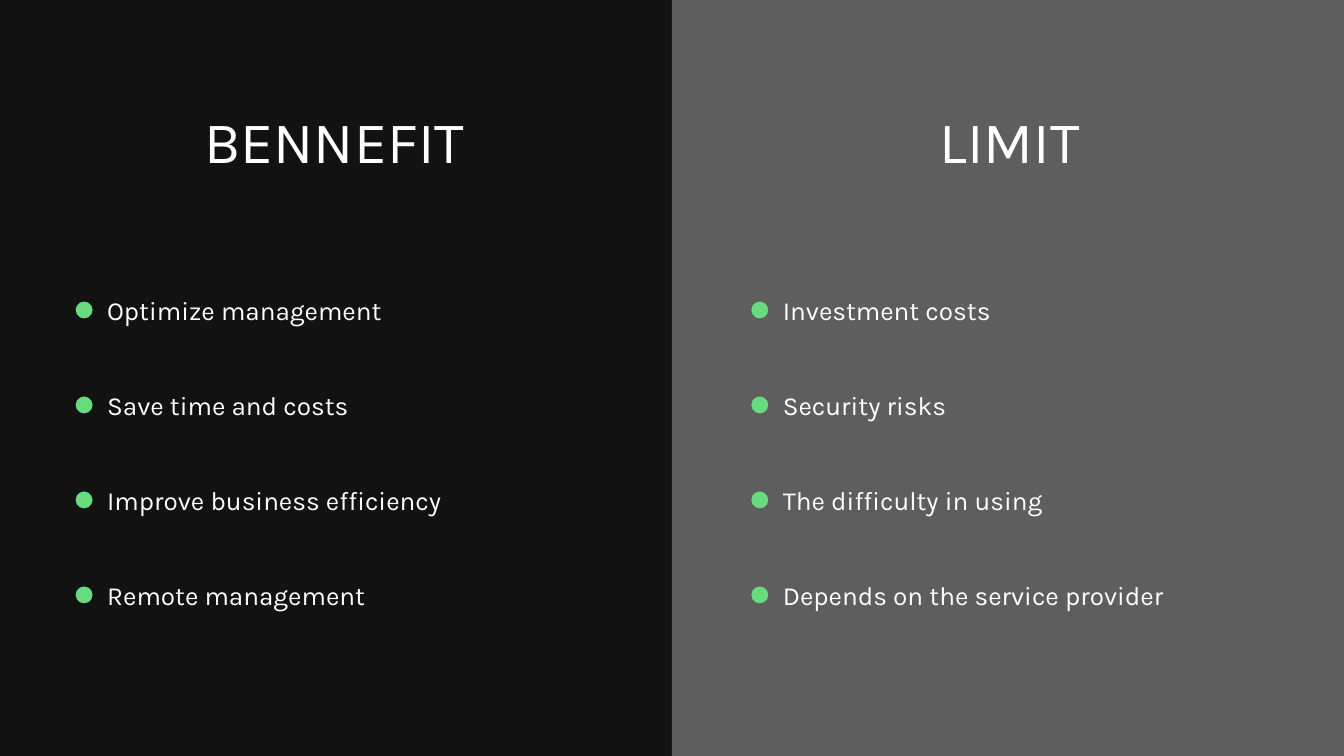
from dataclasses import dataclass

from lxml import etree
from pptx import Presentation
from pptx import util as u
from pptx.dml.color import RGBColor
from pptx.enum import shapes, text
from pptx.oxml.ns import qn


@dataclass(frozen=True)
class Theme:
    dark: str = "121212"
    grey: str = "5E5E5E"
    green: str = "67DB7D"
    white: str = "FFFFFF"
    font: str = "Karla"
    heading_size: float = 63
    heading_line: float = 75.6
    item_size: float = 28
    item_line: float = 39.2


THEME = Theme()

# Column geometry in centimetres
HEADING_TOP, HEADING_WIDTH, HEADING_HEIGHT = 3.97, 19.53, 2.67
LIST_TOP, LIST_INDENT, LIST_WIDTH, LIST_HEIGHT = 10.95, 1.19, 18.34, 12.1
DOT_TOP, DOT_SIZE = 11.4, 0.64
ITEM_PITCH = 3.59

# Left edge, heading placeholder, list placeholder, heading, items
COLUMNS = [
    (2.86, 0, 2, "BENNEFIT",
     ["Optimize management", "Save time and costs",
      "Improve business efficiency", "Remote management"]),
    (28.4, 3, 4, "LIMIT",
     ["Investment costs", "Security risks",
      "The difficulty in using", "Depends on the service provider"]),
]


def set_values(target, values):
    for name, value in values.items():
        setattr(target, name, value)


def place(shape, left, top, width, height):
    set_values(shape, {"left": u.Cm(left), "top": u.Cm(top),
                       "width": u.Cm(width), "height": u.Cm(height)})


def add_plain_shape(slide, kind, box, color):
    shape = slide.shapes.add_shape(kind, *(u.Cm(length) for length in box))
    shape.shadow.inherit = False
    shape.fill.solid()
    shape.fill.fore_color.rgb = RGBColor.from_string(color)
    shape.line.fill.background()
    return shape


def write_paragraphs(shape, lines, size, line_height, align, gap=0):
    frame = shape.text_frame
    set_values(frame, {
        "margin_left": 0, "margin_top": 0, "margin_right": 0, "margin_bottom": 0,
        "word_wrap": True, "vertical_anchor": text.MSO_ANCHOR.TOP,
        "auto_size": text.MSO_AUTO_SIZE.SHAPE_TO_FIT_TEXT})
    for index, line in enumerate(lines):
        paragraph = frame.paragraphs[0] if index == 0 else frame.add_paragraph()
        properties = paragraph._p.get_or_add_pPr()
        properties.set("marL", "0")
        properties.set("indent", "0")
        etree.SubElement(properties, qn("a:buNone"))
        set_values(paragraph, {
            "alignment": align, "line_spacing": u.Pt(line_height),
            "space_before": u.Pt(0),
            "space_after": u.Pt(gap if index < len(lines) - 1 else 0)})
        run = paragraph.add_run()
        run.text = line
        set_values(run.font, {"name": THEME.font, "size": u.Pt(size), "bold": False})
        run.font.color.rgb = RGBColor.from_string(THEME.white)


def fill_heading(shape, left, heading):
    place(shape, left, HEADING_TOP, HEADING_WIDTH, HEADING_HEIGHT)
    write_paragraphs(shape, [heading], THEME.heading_size, THEME.heading_line,
                     text.PP_ALIGN.CENTER)


def fill_list(slide, shape, left, items):
    place(shape, left + LIST_INDENT, LIST_TOP, LIST_WIDTH, LIST_HEIGHT)
    gap = u.Cm(ITEM_PITCH).pt - THEME.item_line
    write_paragraphs(shape, items, THEME.item_size, THEME.item_line,
                     text.PP_ALIGN.LEFT, gap)
    for row in range(len(items)):
        box = (left, DOT_TOP + row * ITEM_PITCH, DOT_SIZE, DOT_SIZE)
        add_plain_shape(slide, shapes.MSO_SHAPE.OVAL, box, THEME.green)


def main():
    presentation = Presentation()
    set_values(presentation, {"slide_width": u.Cm(50.8), "slide_height": u.Cm(28.58)})
    slide = presentation.slides.add_slide(presentation.slide_layouts[4])

    # Dark background, with a grey panel behind the right column
    slide.background.fill.solid()
    slide.background.fill.fore_color.rgb = RGBColor.from_string(THEME.dark)
    panel = add_plain_shape(slide, shapes.MSO_SHAPE.RECTANGLE,
                            (25.4, 0, 25.4, 28.58), THEME.grey)
    slide.shapes._spTree.insert(2, panel._element)

    # Headings and lists
    placeholders = {shape.placeholder_format.idx: shape for shape in slide.placeholders}
    for left, heading_idx, list_idx, heading, items in COLUMNS:
        fill_heading(placeholders[heading_idx], left, heading)
        fill_list(slide, placeholders[list_idx], left, items)

    # The first column's heading uses the title, so its own placeholder goes
    unused = placeholders[1]._element
    unused.getparent().remove(unused)

    presentation.save("out.pptx")


if __name__ == "__main__":
    main()
